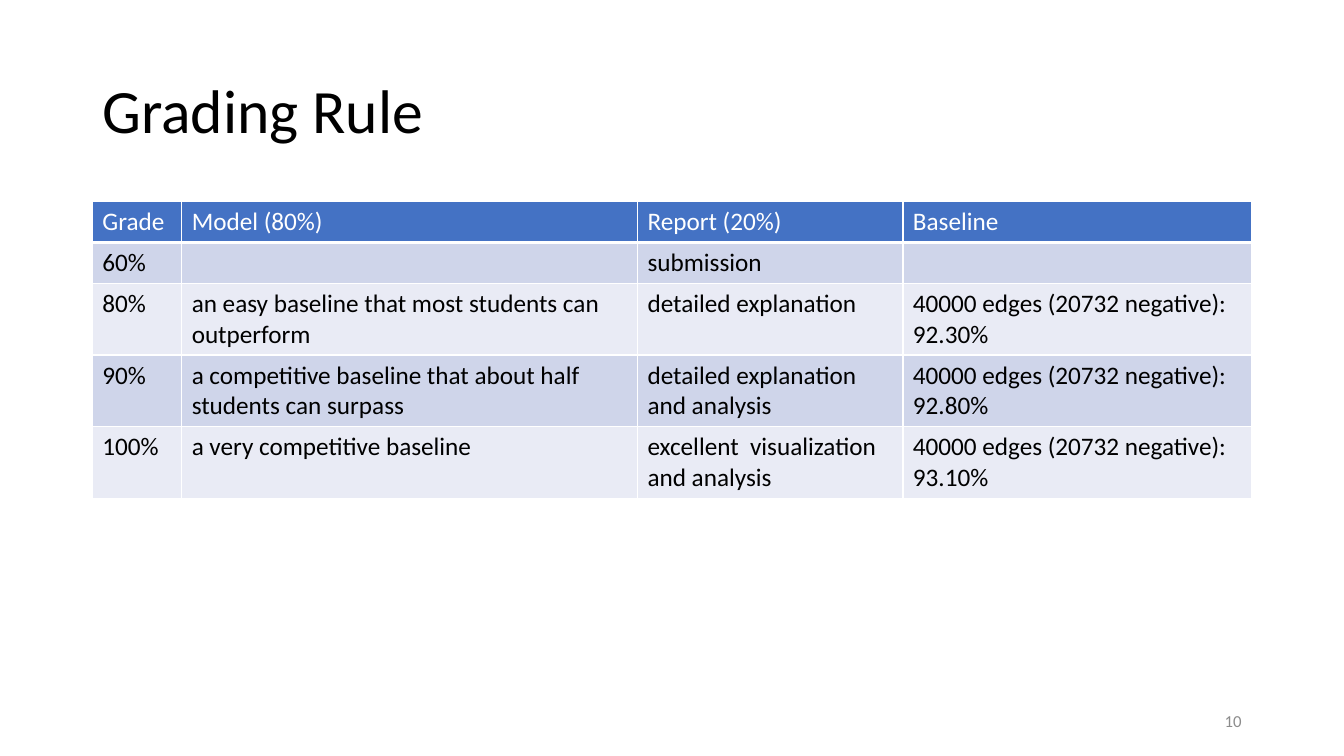
from dataclasses import dataclass

from lxml.etree import SubElement
from pptx import Presentation
from pptx.dml.color import RGBColor
from pptx.enum.text import MSO_ANCHOR, PP_ALIGN
from pptx.oxml.ns import qn
from pptx.util import Pt


@dataclass(frozen=True)
class Theme:
    font: str = "Calibri"
    title_size: int = 44
    table_size: int = 18
    number_size: int = 12
    black: str = "000000"
    white: str = "FFFFFF"
    grey: str = "8C8C8C"
    header_fill: str = "4472C4"
    band_fills: tuple = ("CFD5EA", "E9EBF5")


theme = Theme()


def style_paragraph(paragraph, size, color):
    paragraph.font.name = theme.font
    paragraph.font.size = Pt(size)
    paragraph.font.bold = False
    paragraph.font.color.rgb = RGBColor.from_string(color)


def set_borders(cell, widths):
    properties = cell._tc.get_or_add_tcPr()
    for index, (side, width) in enumerate(widths.items()):
        line = SubElement(properties, qn(f"a:{side}"), w=str(Pt(width)))
        fill = SubElement(line, qn("a:solidFill"))
        SubElement(fill, qn("a:srgbClr"), val=theme.white)
        properties.insert(index, line)


presentation = Presentation()
presentation.slide_width = Pt(960)
presentation.slide_height = Pt(540)
slide = presentation.slides.add_slide(presentation.slide_layouts[6])

# Grading table
rows = [
    ("Grade", "Model (80%)", "Report (20%)", "Baseline"),
    ("60%", "", "submission", ""),
    ("80%", "an easy baseline that most students can outperform",
     "detailed explanation", "40000 edges (20732 negative): 92.30%"),
    ("90%", "a competitive baseline that about half students can surpass",
     "detailed explanation and analysis", "40000 edges (20732 negative):\n92.80%"),
    ("100%", "a very competitive baseline",
     "excellent  visualization and analysis", "40000 edges (20732 negative): 93.10%"),
]
column_widths = (63.8, 325.6, 189.6, 249)
row_heights = (29.2, 29.2, 50.4, 50.4, 50.4)

table = slide.shapes.add_table(
    len(rows), len(column_widths), Pt(66), Pt(144), Pt(sum(column_widths)), Pt(sum(row_heights))
).table
for column, width in zip(table.columns, column_widths):
    column.width = Pt(width)

for row_index, (row, height, texts) in enumerate(zip(table.rows, row_heights, rows)):
    row.height = Pt(height)
    is_header = row_index == 0
    fill_color = theme.header_fill if is_header else theme.band_fills[(row_index - 1) % 2]
    text_color = theme.white if is_header else theme.black
    for cell, text in zip(row.cells, texts):
        cell.text = text
        cell.fill.solid()
        cell.fill.fore_color.rgb = RGBColor.from_string(fill_color)
        set_borders(cell, {"lnL": 1, "lnR": 1, "lnT": 1, "lnB": 3 if is_header else 1})
        for paragraph in cell.text_frame.paragraphs:
            style_paragraph(paragraph, theme.table_size, text_color)

# Title and slide number
labels = [
    ("Grading Rule", (66, 28.75, 828, 104.4), theme.title_size, theme.black, PP_ALIGN.LEFT, 0.9),
    ("10", (678, 500.5, 216, 28.75), theme.number_size, theme.grey, PP_ALIGN.RIGHT, 1.0),
]
for text, box, size, color, alignment, line_spacing in labels:
    text_frame = slide.shapes.add_textbox(*map(Pt, box)).text_frame
    text_frame.word_wrap = True
    text_frame.vertical_anchor = MSO_ANCHOR.MIDDLE
    paragraph = text_frame.paragraphs[0]
    paragraph.text = text
    paragraph.alignment = alignment
    paragraph.line_spacing = line_spacing
    style_paragraph(paragraph, size, color)

presentation.save("out.pptx")
